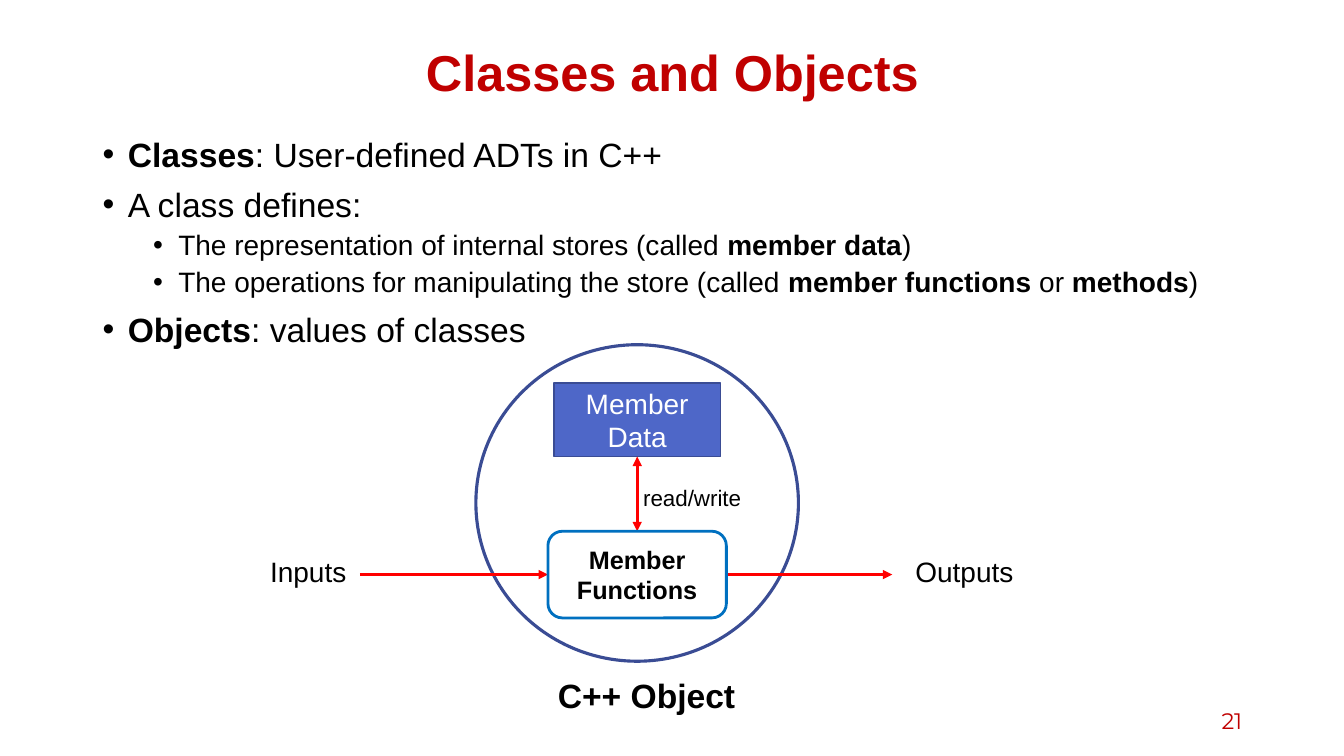
from lxml import etree
from pptx import Presentation
from pptx.dml.color import RGBColor
from pptx.enum import shapes as kinds, text as layout
from pptx.oxml.ns import qn
from pptx.util import Inches, Pt

COLORS = {"title": "C00000", "text": "000000", "white": "FFFFFF", "data": "4E67C8",
          "outline": "3A4C94", "flow": "FF0000", "functions": "0070C0"}
WIDTH, HEIGHT = Inches(13.33), Inches(7.5)
CENTER, RIGHT = layout.PP_ALIGN.CENTER, layout.PP_ALIGN.RIGHT
MIDDLE = layout.MSO_ANCHOR.MIDDLE
TOP, LEFT, BOTTOM, RIGHT_SIDE = range(4)

POINTS = [
    (0, [("Classes", True), (": User-defined ADTs in C++", False)]),
    (0, [("A class defines:", False)]),
    (1, [("The representation of internal stores (called ", False),
         ("member data", True), (")", False)]),
    (1, [("The operations for manipulating the store (called ", False),
         ("member functions ", True), ("or ", False), ("methods", True), (")", False)]),
    (0, [("Objects", True), (": values of classes", False)]),
]


def color(name):
    """Return the named palette colour."""
    return RGBColor.from_string(COLORS[name])


def across(share):
    """Turn percent of the slide width into a length."""
    return int(WIDTH * share / 100)


def down(share):
    """Turn percent of the slide height into a length."""
    return int(HEIGHT * share / 100)


def place(left, top, width, height):
    """Turn a box in slide percents into lengths."""
    return across(left), down(top), across(width), down(height)


def style(font, size, ink="text", bold=False, face="Arial"):
    """Format one font."""
    font.name, font.size, font.bold = face, Pt(size), bold
    font.color.rgb = color(ink)


def write(frame, words, size, ink="text", bold=False, face="Arial", align=None, anchor=None):
    """Fill a frame with one paragraph."""
    frame.word_wrap = True
    frame.text = words
    frame.vertical_anchor = anchor
    paragraph = frame.paragraphs[0]
    paragraph.alignment = align
    style(paragraph.runs[0].font, size, ink, bold, face)
    return paragraph


def add_label(slide, box, words, size, **look):
    """Add a text box with one paragraph."""
    return write(slide.shapes.add_textbox(*place(*box)).text_frame, words, size, **look)


def add_outline(slide, kind, box, line, weight, fill=None):
    """Add a preset shape without shadow."""
    shape = slide.shapes.add_shape(kind, *place(*box))
    shape.shadow.inherit = False
    if fill:
        shape.fill.solid()
        shape.fill.fore_color.rgb = color(fill)
    else:
        shape.fill.background()
    shape.line.color.rgb = color(line)
    shape.line.width = Pt(weight)
    return shape


def add_flow(slide, start, end, ends=("tailEnd",)):
    """Add a red arrow between two points."""
    flow = slide.shapes.add_connector(
        kinds.MSO_CONNECTOR.STRAIGHT, across(start[0]), down(start[1]), across(end[0]), down(end[1]))
    flow.line.color.rgb = color("flow")
    flow.line.width = Pt(2.25)
    for tag in ends:
        etree.SubElement(flow.line._get_or_add_ln(), qn("a:" + tag), type="triangle")
    etree.SubElement(flow._element.spPr, qn("a:effectLst"))
    return flow


def add_points(slide, box):
    """Add the two-level bullet list."""
    frame = slide.shapes.add_textbox(*place(*box)).text_frame
    frame.word_wrap = True
    for index, (level, parts) in enumerate(POINTS):
        point = frame.add_paragraph() if index else frame.paragraphs[0]
        point.level = level
        point.line_spacing = 0.9
        if index:
            point.space_before = Pt(5 if level else 10)
        properties = point._p.get_or_add_pPr()
        properties.set("marL", str(Inches(0.25 + 0.5 * level)))
        properties.set("indent", str(Inches(-0.25)))
        etree.SubElement(properties, qn("a:buFont"), typeface="Arial")
        etree.SubElement(properties, qn("a:buChar"), char="•")
        for words, bold in parts:
            run = point.add_run()
            run.text = words
            style(run.font, 20 if level else 24, bold=bold)


def add_object_diagram(slide, box):
    """Draw the object with its data, functions, inputs and outputs."""
    left, top, width, height = box
    axis = left + 28.06

    def centered(offset, wide, high):
        """Return a box centred on the axis of the object."""
        return axis - wide / 2, top + offset, wide, high

    data_box = centered(5.07, 12.38, 9.73)
    functions_box = centered(24.67, 13.28, 11.47)
    flow_row = functions_box[1] + functions_box[3] / 2
    functions_left, functions_right = functions_box[0], functions_box[0] + functions_box[2]

    data = add_outline(slide, kinds.MSO_SHAPE.RECTANGLE, data_box, "outline", 1, "data")
    write(data.text_frame, "Member Data", 20, "white", align=CENTER, anchor=MIDDLE)
    add_outline(slide, kinds.MSO_SHAPE.OVAL, centered(0, 24, 41.87), "outline", 2.25)
    inputs = add_flow(slide, (left + 7.43, flow_row), (functions_left, flow_row))
    outputs = add_flow(slide, (functions_right, flow_row), (left + 47.04, flow_row))
    access = add_flow(slide, (axis, data_box[1] + data_box[3]), (axis, functions_box[1]),
                      ("headEnd", "tailEnd"))
    functions = add_outline(slide, kinds.MSO_SHAPE.ROUNDED_RECTANGLE, functions_box, "functions", 2)
    write(functions.text_frame, "Member Functions", 18, bold=True, align=CENTER, anchor=MIDDLE)
    inputs.end_connect(functions, LEFT)
    outputs.begin_connect(functions, RIGHT_SIDE)
    access.begin_connect(data, BOTTOM)
    access.end_connect(functions, TOP)

    add_label(slide, (functions_left, top + 43.07, 16.35, 6.67), "C++ Object", 24, bold=True)
    add_label(slide, (left, top + 27.07, 8.03, 5.87), "Inputs", 20)
    add_label(slide, (left + width - 9.9, top + 27.07, 9.9, 5.87), "Outputs", 20)
    add_label(slide, (axis - 0.3, top + 17.73, 12.23, 4.93), "read/write", 16)


def main():
    """Build and save the slide."""
    deck = Presentation()
    deck.slide_width, deck.slide_height = WIDTH, HEIGHT
    slide = deck.slides.add_slide(deck.slide_layouts[6])
    title = add_label(slide, (6.9, 5.33, 86.27, 9.33), "Classes and Objects", 36,
                      ink="title", bold=True, align=CENTER, anchor=MIDDLE)
    title.line_spacing = 0.9
    add_points(slide, (6.9, 17.6, 86.27, 73.47))
    add_label(slide, (70.67, 92.67, 22.5, 5.33), "21", 16, ink="title",
              face="Montserrat", align=RIGHT, anchor=MIDDLE)
    add_object_diagram(slide, (19.35, 45.6, 57.92, 49.74))
    deck.save("out.pptx")


if __name__ == "__main__":
    main()
